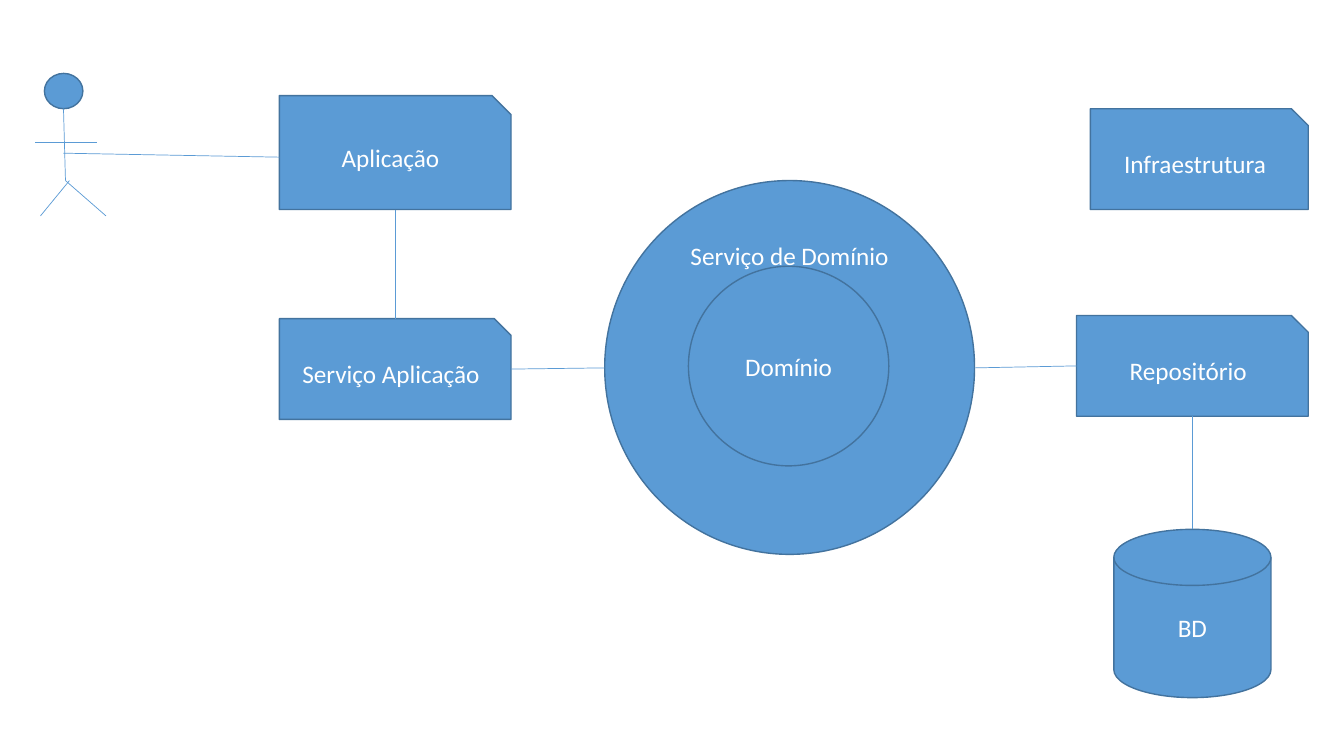
from typing import NamedTuple

import pptx
import pptx.dml.color
import pptx.enum.shapes
import pptx.enum.text
import pptx.oxml.ns
import pptx.shapes.shapetree
import pptx.util
from lxml import etree
from pptx.util import Cm, Pt

BLUE = pptx.dml.color.RGBColor(0x5B, 0x9B, 0xD5)
DARK_BLUE = pptx.dml.color.RGBColor(0x43, 0x73, 0x9E)
WHITE = pptx.dml.color.RGBColor(0xFF, 0xFF, 0xFF)
FONT = "Calibri"

SHAPE = pptx.enum.shapes.MSO_SHAPE
ANCHOR = pptx.enum.text.MSO_ANCHOR
Shapes = pptx.shapes.shapetree.SlideShapes | pptx.shapes.shapetree.GroupShapes


class Node(NamedTuple):
    """A labelled part of the architecture; lengths in centimetres."""
    label: str
    left: float
    top: float
    width: float
    height: float
    outline: SHAPE = SHAPE.SNIP_1_RECTANGLE
    anchor: ANCHOR = ANCHOR.MIDDLE


class Link(NamedTuple):
    """A straight line between two points, in centimetres."""
    x1: float
    y1: float
    x2: float
    y2: float


LAYERS = [
    Node("Aplicação", 7.04, 2.41, 5.84, 2.87),
    Node("Serviço Aplicação", 7.04, 8.03, 5.84, 2.54),
    Node("Repositório", 27.13, 7.95, 5.84, 2.54),
    Node("Infraestrutura", 27.48, 2.74, 5.49, 2.54),
    Node("BD", 28.07, 13.34, 3.96, 4.24, SHAPE.FLOWCHART_MAGNETIC_DISK),
]
DOMAIN = [
    Node("Serviço de Domínio", 15.24, 4.55, 9.32, 9.42, SHAPE.OVAL, ANCHOR.TOP),
    Node("Domínio", 17.35, 6.71, 5.05, 5.03, SHAPE.OVAL),
]
LAYER_LINKS = [
    Link(9.96, 5.28, 9.96, 8.03),
    Link(12.88, 9.3, 15.24, 9.27),
    Link(27.13, 9.22, 24.56, 9.27),
    Link(30.05, 10.49, 30.05, 13.34),
    Link(1.6, 3.86, 7.04, 3.96),
]
ACTOR_HEAD = Node("", 1.12, 1.85, 0.97, 0.89, SHAPE.OVAL)
ACTOR_LIMBS = [
    Link(1.6, 2.74, 1.65, 4.55),
    Link(1.75, 4.55, 1.02, 5.44),
    Link(1.65, 4.55, 2.67, 5.44),
    Link(0.89, 3.58, 2.44, 3.58),
]


def draw_node(shapes: Shapes, node: Node) -> None:
    shape = shapes.add_shape(node.outline, Cm(node.left), Cm(node.top),
                             Cm(node.width), Cm(node.height))
    shape.shadow.inherit = False
    shape.fill.solid()
    shape.fill.fore_color.rgb = BLUE
    shape.line.color.rgb = DARK_BLUE
    shape.line.width = Pt(1)
    if not node.label:
        return
    frame = shape.text_frame
    frame.word_wrap = True
    frame.vertical_anchor = node.anchor
    paragraph = frame.paragraphs[0]
    paragraph.text = node.label
    paragraph.alignment = pptx.enum.text.PP_ALIGN.CENTER
    paragraph.font.name = FONT
    paragraph.font.size = Pt(18)
    paragraph.font.color.rgb = WHITE


def draw_link(shapes: Shapes, link: Link) -> None:
    connector = shapes.add_connector(
        pptx.enum.shapes.MSO_CONNECTOR.STRAIGHT,
        Cm(link.x1), Cm(link.y1), Cm(link.x2), Cm(link.y2))
    connector.line.color.rgb = BLUE
    connector.line.width = Pt(0.5)
    etree.SubElement(connector._element.spPr, pptx.oxml.ns.qn("a:effectLst"))


def draw_all(shapes: Shapes, nodes: list[Node], links: list[Link]) -> None:
    for node in nodes:
        draw_node(shapes, node)
    for link in links:
        draw_link(shapes, link)


def main() -> None:
    presentation = pptx.Presentation()
    presentation.slide_width = Cm(33.87)
    presentation.slide_height = Cm(19.05)
    blank_layout = presentation.slide_layouts[6]
    shapes = presentation.slides.add_slide(blank_layout).shapes

    draw_all(shapes.add_group_shape().shapes, DOMAIN, [])
    draw_all(shapes, LAYERS, LAYER_LINKS)
    draw_all(shapes.add_group_shape().shapes, [ACTOR_HEAD], ACTOR_LIMBS)

    presentation.save("out.pptx")


if __name__ == "__main__":
    main()
